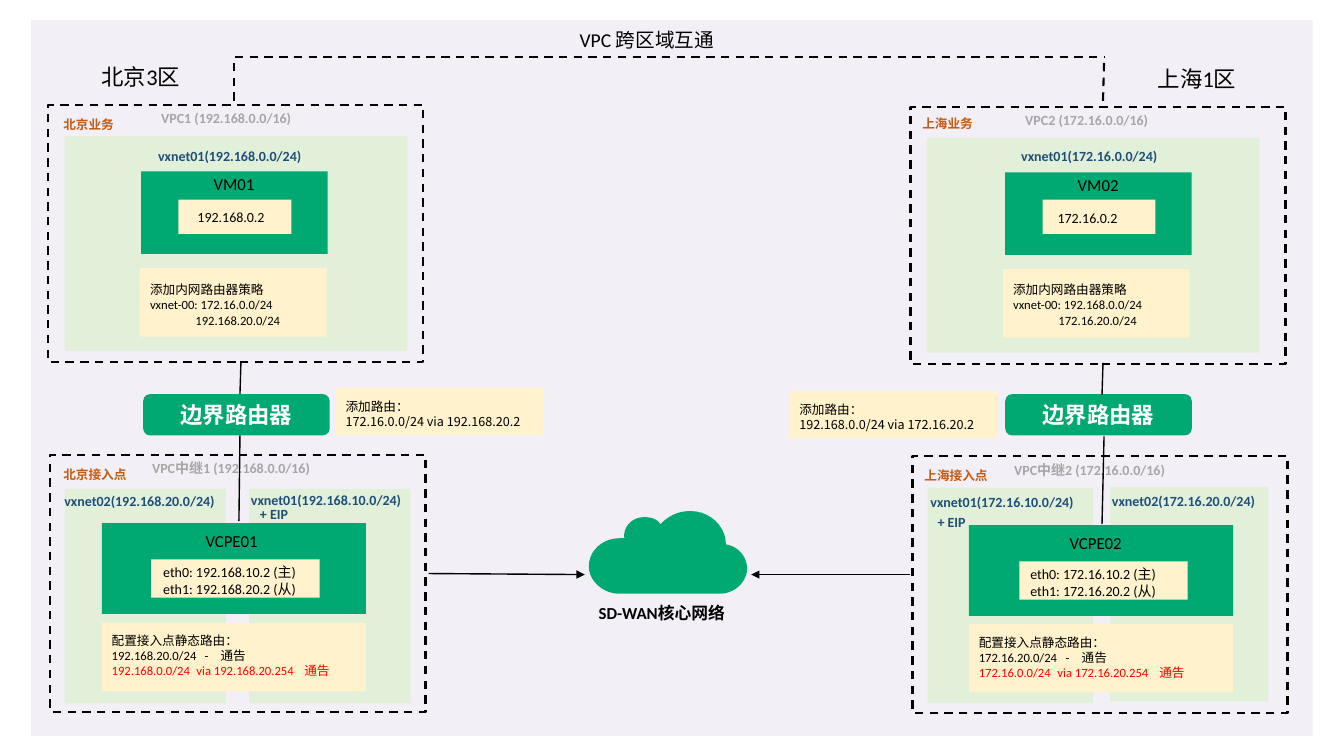
"""Build the cross-region VPC network slide."""
from dataclasses import dataclass
from typing import NamedTuple

from lxml import etree
from pptx import Presentation
from pptx.dml.color import RGBColor
from pptx.enum import dml, shapes, text
from pptx.oxml import ns
from pptx.util import Emu, Pt

PX = 9144
GREEN, MINT, CREAM, LILAC = "00A971", "E2F0D9", "FFF2CC", "F3EFF6"
BLACK, WHITE, RED, GREY = "000000", "FFFFFF", "FF0000", "A6A6A6"
NAVY, ORANGE = "1F4E79", "C55A11"
RECT = shapes.MSO_SHAPE.RECTANGLE
ROUND = shapes.MSO_SHAPE.ROUNDED_RECTANGLE

Spot = tuple[int, int]


class Style(NamedTuple):
    size: int
    colour: str = BLACK
    bold: bool = False
    font: str = "Calibri"
    align: text.PP_ALIGN = text.PP_ALIGN.LEFT


class Line(NamedTuple):
    words: str
    colour: str = ""
    indent: int = 0
    tabs: tuple[int, ...] = ()


@dataclass(frozen=True)
class Block:
    spots: tuple[Spot, ...]
    size: Spot
    fill: str = ""


@dataclass(frozen=True)
class Label:
    spots: tuple[Spot, ...]
    size: Spot
    style: Style
    texts: tuple[tuple[Line, ...], ...]


class Link(NamedTuple):
    start: Spot
    end: Spot
    dashed: bool = False
    arrow: str = ""


TITLE, REGION, NODE = Style(14), Style(16), Style(12)
PLAIN, SMALL = Style(10), Style(9)
ROUTE = Style(9, font="Noto Sans CJK SC")
VPC, SUBNET, ZONE = Style(10, GREY, True), Style(10, NAVY, True), Style(9, ORANGE, True)
ROUTER = Style(16, WHITE, True, align=text.PP_ALIGN.CENTER)


def single(*words: str) -> tuple[tuple[Line, ...], ...]:
    """Give each label one line."""
    return tuple((Line(word),) for word in words)


def policy(near: str, far: str) -> tuple[Line, ...]:
    """Describe an internal router policy."""
    return Line("添加内网路由器策略"), Line(f"vxnet-00: {near}"), Line(far, indent=45)


def static(local: str, remote: str, gateway: str, shift: int) -> tuple[Line, ...]:
    """Describe the static routes of an access point."""
    return (Line("配置接入点静态路由："),
            Line(f"{local}\t-\t通告", tabs=(92 - shift, 108 - shift)),
            Line(f"{remote}\tvia {gateway}\t通告", RED,
                 tabs=(84 - shift, 191 - 2 * shift)))


def ports(network: str) -> tuple[Line, ...]:
    """Describe the two ports of a VCPE."""
    return Line(f"eth0: {network}.10.2 (主)"), Line(f"eth1: {network}.20.2 (从)")


def route(words: str) -> tuple[Line, ...]:
    """Describe a route on a border router."""
    return Line("添加路由："), Line(words)


BLOCKS = (
    Block(((31, 20),), (1271, 710), LILAC),
    Block(((64, 485), (247, 485)), (160, 213), MINT),
    Block(((920, 484),), (164, 213), MINT),
    Block(((1101, 483),), (157, 213), MINT),
    Block(((64, 135),), (340, 213), MINT),
    Block(((919, 137),), (330, 213), MINT),
    Block(((48, 104), (903, 106), (50, 451), (905, 452)), (372, 255)),
    Block(((140, 170), (997, 171)), (185, 82), GREEN),
    Block(((177, 198), (1034, 198)), (112, 34), CREAM),
    Block(((139, 266), (995, 267)), (185, 68), CREAM),
    Block(((333, 385), (783, 388)), (206, 47), CREAM),
    Block(((101, 519), (961, 521)), (262, 90), GREEN),
    Block(((150, 555), (1011, 557)), (167, 38), CREAM),
    Block(((101, 618), (961, 619)), (262, 68), CREAM),
)
ROUTER_SPOTS = ((142, 391), (997, 391))
LABELS = (
    Label(((565, 23),), (172, 34), TITLE, single("VPC 跨区域互通")),
    Label(((91, 58),), (122, 37), REGION, single("北京3区")),
    Label(((1124, 60),), (112, 37), REGION._replace(align=text.PP_ALIGN.RIGHT),
          single("上海1区")),
    Label(((584, 593),), (164, 29), NODE._replace(bold=True), single("SD-WAN核心网络")),
    Label(((53, 111), (905, 110), (53, 458), (907, 459)), (112, 25), ZONE,
          single("北京业务", "上海业务", "北京接入点", "上海接入点")),
    Label(((150, 104), (1007, 106), (141, 451), (996, 453)), (188, 27), VPC,
          single("VPC1 (192.168.0.0/16)", "VPC2 (172.16.0.0/16)",
                 "VPC中继1 (192.168.0.0/16)", "VPC中继2 (172.16.0.0/16)")),
    Label(((147, 141), (1003, 141), (54, 484), (239, 483), (913, 485), (1093, 484)),
          (188, 27), SUBNET,
          single("vxnet01(192.168.0.0/24)", "vxnet01(172.16.0.0/24)",
                 "vxnet02(192.168.20.0/24)", "vxnet01(192.168.10.0/24)",
                 "vxnet01(172.16.10.0/24)", "vxnet02(172.16.20.0/24)")),
    Label(((248, 497), (920, 505)), (112, 27), SUBNET, single("+ EIP", "+ EIP")),
    Label(((202, 167), (1059, 168), (194, 522), (1051, 524)), (89, 30), NODE,
          single("VM01", "VM02", "VCPE01", "VCPE02")),
    Label(((186, 202), (1039, 203)), (112, 27), PLAIN,
          single("192.168.0.2", "172.16.0.2")),
    Label(((139, 275), (995, 275)), (196, 57), SMALL,
          (policy("172.16.0.0/24", "192.168.20.0/24"),
           policy("192.168.0.0/24", "172.16.20.0/24"))),
    Label(((333, 391), (783, 394)), (214, 40), ROUTE,
          (route("172.16.0.0/24 via 192.168.20.2"),
           route("192.168.0.0/24 via 172.16.20.2"))),
    Label(((152, 554), (1012, 556)), (195, 44), PLAIN,
          (ports("192.168"), ports("172.16"))),
    Label(((101, 623), (961, 625)), (262, 55), SMALL,
          (static("192.168.20.0/24", "192.168.0.0/24", "192.168.20.254", 0),
           static("172.16.20.0/24", "172.16.0.0/24", "172.16.20.254", 6))),
)
LINKS = (
    Link((232, 100), (232, 58), True), Link((1094, 100), (1095, 62), True),
    Link((233, 57), (1096, 57), True),
    Link((238, 391), (239, 359)), Link((1093, 392), (1094, 360)),
    Link((237, 517), (238, 432)), Link((1093, 520), (1095, 433)),
    Link((425, 569), (580, 570), arrow="tailEnd"),
    Link((745, 570), (903, 570), arrow="headEnd"),
)
CLOUD_START = (741, 564)
CLOUD_CURVES = (
    ((741, 552), (732, 542), (720, 540)), ((720, 522), (704, 507), (685, 507)),
    ((672, 507), (663, 512), (655, 520)), ((652, 515), (646, 513), (639, 513)),
    ((628, 513), (619, 521), (619, 532)), ((619, 532), (619, 533), (620, 534)),
    ((617, 534), (616, 534), (614, 534)), ((598, 534), (584, 546), (584, 562)),
    ((584, 576), (598, 589), (614, 589)), ((714, 589), (714, 589), (714, 589)),
    ((729, 589), (741, 577), (741, 564)),
)


def paint(target, colour: str) -> None:
    """Fill a shape, line or cell with one solid colour."""
    target.solid()
    target.fore_color.rgb = RGBColor.from_string(colour)


def write(frame, lines: tuple[Line, ...], style: Style) -> None:
    """Write styled paragraphs into a text frame."""
    frame.word_wrap = True
    for number, line in enumerate(lines):
        para = frame.add_paragraph() if number else frame.paragraphs[0]
        para.add_run().text = line.words
        para.alignment = style.align
        properties = para._p.get_or_add_pPr()
        if line.indent:
            properties.set("marL", str(line.indent * PX))
            properties.set("indent", "0")
        if line.tabs:
            stops = etree.SubElement(properties, ns.qn("a:tabLst"))
            for stop in line.tabs:
                etree.SubElement(stops, ns.qn("a:tab"), pos=str(stop * PX), algn="l")
        para.font.size, para.font.bold = Pt(style.size), style.bold
        para.font.name = style.font
        paint(para.font.fill, line.colour or style.colour)


def add_block(page, spot: Spot, size: Spot, fill: str, geometry=RECT):
    """Draw a filled block, or a dashed frame when there is no fill."""
    box = page.shapes.add_shape(geometry, *(Emu(value * PX) for value in spot + size))
    box.shadow.inherit = False
    if fill:
        paint(box.fill, fill)
        box.line.fill.background()
    else:
        box.fill.background()
        set_stroke(box.line, True)
    return box


def set_stroke(line, dashed: bool) -> None:
    """Set a black solid or dashed stroke."""
    paint(line.fill, BLACK)
    line.width = Pt(1.5 if dashed else 1)
    if dashed:
        line.dash_style = dml.MSO_LINE.DASH


def add_link(page, link: Link) -> None:
    """Draw a straight connector."""
    joint = page.shapes.add_connector(
        shapes.MSO_CONNECTOR.STRAIGHT, *(Emu(value * PX) for value in link.start + link.end))
    set_stroke(joint.line, link.dashed)
    if link.arrow:
        etree.SubElement(joint.line._get_or_add_ln(), ns.qn(f"a:{link.arrow}"), type="triangle")
    etree.SubElement(joint._element.spPr, ns.qn("a:effectLst"))


def add_cloud(page, steps: int = 10) -> None:
    """Draw the core network cloud from cubic curves."""
    points, start = [], CLOUD_START
    for first, second, end in CLOUD_CURVES:
        for step in range(1, steps + 1):
            t = step / steps
            weights = ((1 - t) ** 3, 3 * t * (1 - t) ** 2, 3 * t * t * (1 - t), t ** 3)
            corners = (start, first, second, end)
            points.append(tuple(sum(w * corner[axis] for w, corner in zip(weights, corners)) * PX
                                for axis in (0, 1)))
        start = end
    builder = page.shapes.build_freeform(*(value * PX for value in CLOUD_START))
    builder.add_line_segments(points, close=True)
    cloud = builder.convert_to_shape()
    cloud.shadow.inherit = False
    paint(cloud.fill, GREEN)
    cloud.line.fill.background()


def main() -> None:
    """Build and save the deck."""
    deck = Presentation()
    deck.slide_width, deck.slide_height = Emu(1333 * PX), Emu(750 * PX)
    page = deck.slides.add_slide(deck.slide_layouts[6])
    for block in BLOCKS:
        for spot in block.spots:
            add_block(page, spot, block.size, block.fill)
    add_cloud(page)
    for spot in ROUTER_SPOTS:
        frame = add_block(page, spot, (185, 41), GREEN, ROUND).text_frame
        frame.vertical_anchor = text.MSO_ANCHOR.MIDDLE
        frame.margin_left = frame.margin_right = Emu(5 * PX)
        frame.margin_top = frame.margin_bottom = Emu(5 * PX)
        write(frame, (Line("边界路由器"),), ROUTER)
    for label in LABELS:
        for spot, lines in zip(label.spots, label.texts):
            box = page.shapes.add_textbox(*(Emu(value * PX) for value in spot + label.size))
            write(box.text_frame, lines, label.style)
    for link in LINKS:
        add_link(page, link)
    deck.save("out.pptx")


if __name__ == "__main__":
    main()
